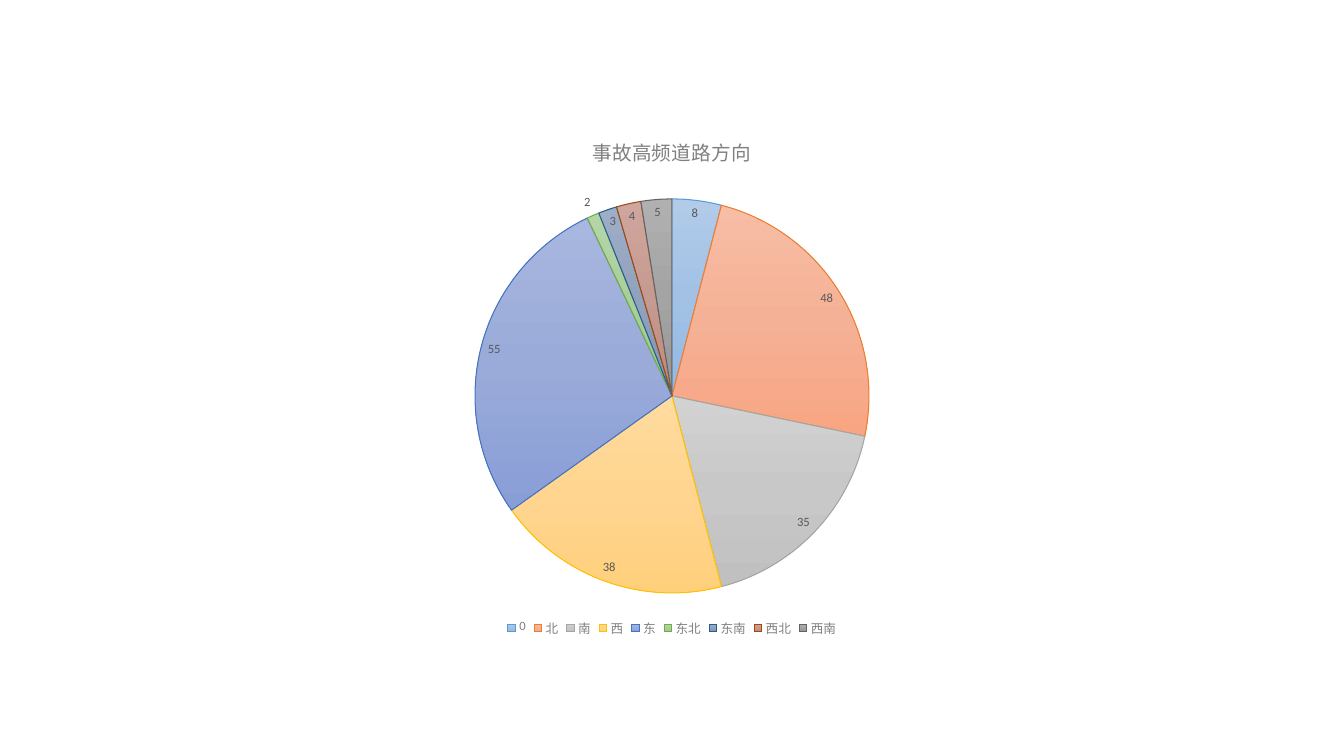
import copy

import pptx
import pptx.chart.data
import pptx.dml.color
import pptx.enum.chart
import pptx.oxml
import pptx.oxml.ns
import pptx.util

RGB = pptx.dml.color.RGBColor
PX = 914400 / 100.8
GREY = RGB(0x80, 0x80, 0x80)
DARK_GREY = RGB(0x59, 0x59, 0x59)
BLACK = RGB(0, 0, 0)

DIRECTIONS = [
    ("0", 8, "5B9BD5", ("B1CBE9", "A3C1E5", "93B9E4")),
    ("北", 48, "ED7D31", ("F7BDA5", "F5B196", "F8A582")),
    ("南", 35, "A5A5A5", ("D2D2D2", "C8C8C8", "C0C0C0")),
    ("西", 38, "FFC000", ("FFDB9E", "FFD590", "FFD07C")),
    ("东", 55, "4472C4", ("A8B7DF", "9AABD9", "889ED7")),
    ("东北", 2, "70AD47", ("B5D5A7", "AACE9A", "9CC987")),
    ("东南", 3, "255E91", ("9FAEC7", "92A2BD", "7E93B6")),
    ("西北", 4, "9E480E", ("CFA69E", "C59A90", "C0887C")),
    ("西南", 5, "636363", ("B0B0B0", "A4A4A4", "959595")),
]


def px(length):
    return pptx.util.Emu(round(length * PX))


def style_font(font, size, color, name, bold=False):
    font.size = pptx.util.Pt(size)
    font.color.rgb = color
    font.name = name
    font.bold = bold


def write_text(frame, text, **style):
    run = frame.paragraphs[0].add_run()
    run.text = text
    style_font(run.font, **style)


class SlideBuilder:
    font_name = "Calibri"

    def __init__(self, slide):
        self.slide = slide

    def style(self, size, color):
        return dict(size=size, color=color, name=self.font_name)

    def pie(self, title, directions, box, plot_box):
        data = pptx.chart.data.CategoryChartData()
        data.categories = [name for name, *_ in directions]
        data.add_series("Series 1", [count for _, count, *_ in directions])
        chart = self.slide.shapes.add_chart(
            pptx.enum.chart.XL_CHART_TYPE.PIE, *map(px, box), data).chart
        style_font(chart.font, **self.style(10, BLACK))

        chart.has_title = True
        write_text(chart.chart_title.text_frame, title, **self.style(14, GREY))
        chart.chart_title.include_in_layout = False

        chart.has_legend = True
        chart.legend.position = pptx.enum.chart.XL_LEGEND_POSITION.BOTTOM
        chart.legend.include_in_layout = False
        style_font(chart.legend.font, **self.style(9, GREY))

        plot = chart.plots[0]
        plot.vary_by_categories = True
        plot.has_data_labels = True
        labels = plot.data_labels
        labels.show_value = True
        labels.show_percentage = False
        labels.position = pptx.enum.chart.XL_LABEL_POSITION.BEST_FIT
        style_font(labels.font, **self.style(9, DARK_GREY))

        for index, (_, _, outline, shades) in enumerate(directions):
            self.slice(chart, plot.series[0].points[index], outline, shades)
        self.place_plot(chart, box, plot_box)

    def slice(self, chart, point, outline, shades):
        fill = point.format.fill
        fill.gradient()
        fill.gradient_angle = 270
        stop_list = chart.element.xpath(".//a:gsLst")[-1]
        stop_list.append(copy.deepcopy(stop_list[-1]))
        for position, (stop, shade) in enumerate(zip(fill.gradient_stops, shades)):
            stop.position = position / 2
            stop.color.rgb = RGB.from_string(shade)
        point.format.line.color.rgb = RGB.from_string(outline)
        point.format.line.width = pptx.util.Pt(0.75)

    def place_plot(self, chart, box, plot_box):
        left, top, width, height = box
        x, y, w, h = plot_box
        shares = dict(x=(x - left) / width, y=(y - top) / height,
                      w=w / width, h=h / height)
        settings = [("layoutTarget", "inner"), ("xMode", "edge"), ("yMode", "edge")]
        settings += [(side, f"{share:.4f}") for side, share in shares.items()]
        tags = "".join(f'<c:{tag} val="{value}"/>' for tag, value in settings)
        layout = pptx.oxml.parse_xml(
            f'<c:layout {pptx.oxml.ns.nsdecls("c")}>'
            f"<c:manualLayout>{tags}</c:manualLayout></c:layout>")
        plot_area = chart.element.xpath(".//c:plotArea")[0]
        for old_layout in plot_area.xpath("./c:layout"):
            plot_area.remove(old_layout)
        plot_area.insert(0, layout)


presentation = pptx.Presentation()
presentation.slide_width = px(1344)
presentation.slide_height = px(756)
builder = SlideBuilder(presentation.slides.add_slide(presentation.slide_layouts[6]))
builder.pie("事故高频道路方向", DIRECTIONS,
            box=(322, 116, 700, 525), plot_box=(475, 199, 394, 394))
presentation.save("out.pptx")
